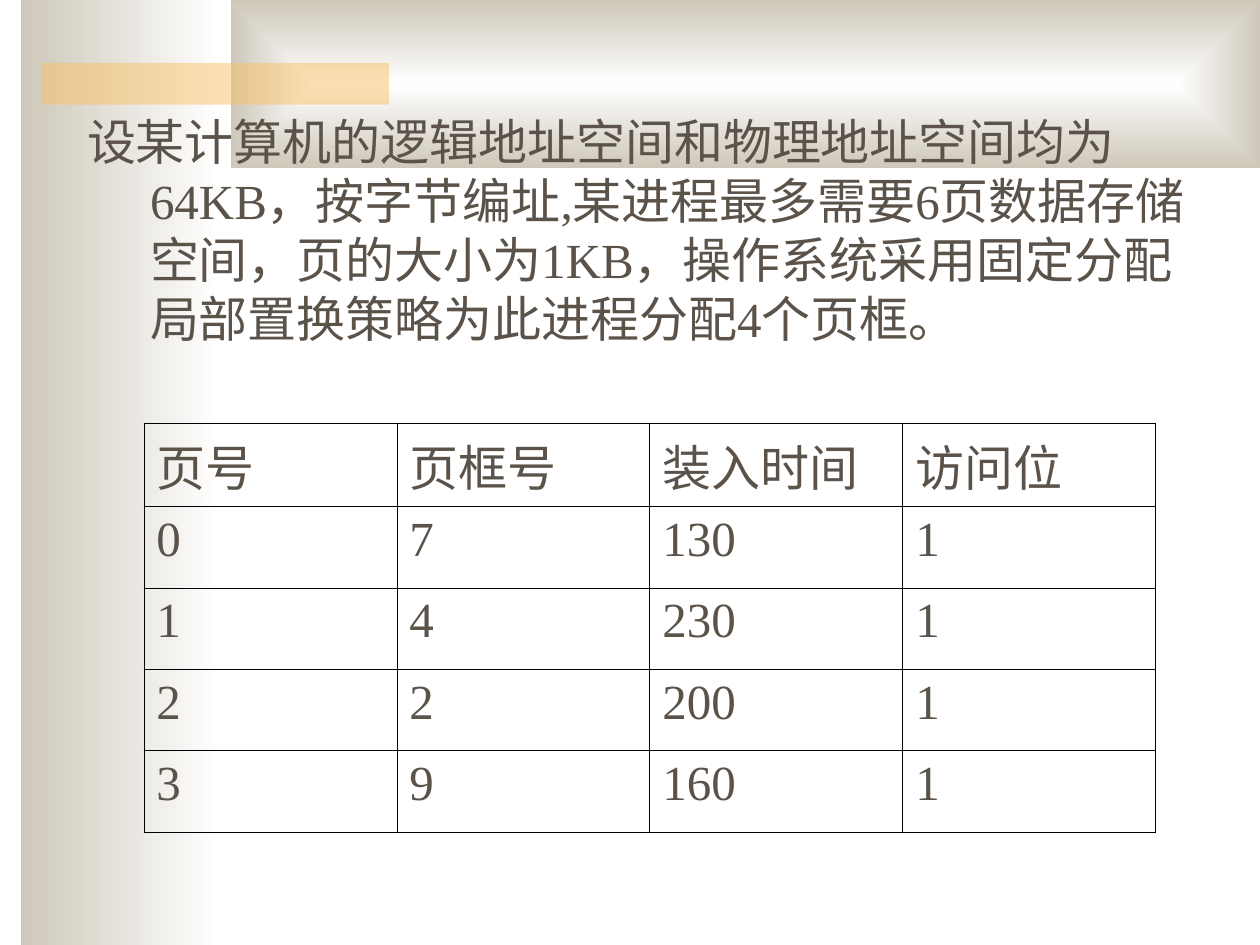
"""Build a slide with a paging problem and its page table."""
from dataclasses import dataclass

from lxml import etree
from pptx import Presentation
from pptx.dml.color import RGBColor
from pptx.enum import shapes, text
from pptx.oxml import ns, parse_xml
from pptx.util import Cm, Pt

FONT = "Times New Roman"
INK = "5B5249"
STONE = "CEC8BA"
QUESTION = (
    "设某计算机的逻辑地址空间和物理地址空间均为64KB，按字节编址,"
    "某进程最多需要6页数据存储空间，页的大小为1KB，"
    "操作系统采用固定分配局部置换策略为此进程分配4个页框。"
)
ROWS = [
    ("页号", "页框号", "装入时间", "访问位"),
    ("0", "7", "130", "1"),
    ("1", "4", "230", "1"),
    ("2", "2", "200", "1"),
    ("3", "9", "160", "1"),
]
LINEAR = '<a:lin ang="10800000" scaled="0"/>'
FRAME = '<a:path path="rect"><a:fillToRect l="50000" t="50000" r="50000" b="50000"/></a:path>'


@dataclass
class Band:
    left: float
    top: float
    width: float
    height: float
    fill: str


def tint(color: str, alpha: int = 100) -> str:
    return f'<a:srgbClr val="{color}"><a:alpha val="{alpha * 1000}"/></a:srgbClr>'


def solid(color: str, alpha: int = 100) -> str:
    return f'<a:solidFill {ns.nsdecls("a")}>{tint(color, alpha)}</a:solidFill>'


def fade(shade: str) -> str:
    return (
        f'<a:gradFill {ns.nsdecls("a")} rotWithShape="1"><a:gsLst>'
        f'<a:gs pos="0">{tint("FFFFFF")}</a:gs>'
        f'<a:gs pos="100000">{tint(STONE)}</a:gs></a:gsLst>{shade}</a:gradFill>'
    )


BANDS = [
    Band(0.42, 0, 4.02, 19.05, fade(LINEAR)),
    Band(4.66, 0, 20.74, 3.39, fade(FRAME)),
    Band(0.85, 1.27, 6.99, 0.84, solid("FAC164", 50)),
]


def draw_band(slide, band: Band) -> None:
    box = slide.shapes.add_shape(
        shapes.MSO_SHAPE.RECTANGLE,
        Cm(band.left), Cm(band.top), Cm(band.width), Cm(band.height),
    )
    box.shadow.inherit = False
    box.line.fill.background()
    props = box._element.spPr
    props.insert(2, parse_xml(band.fill))


def write(para, words: str) -> None:
    run = para.add_run()
    run.text = words
    run.font.name = FONT
    run.font.size = Pt(28)
    run.font.color.rgb = RGBColor.from_string(INK)


def draw_body(slide) -> None:
    body = slide.placeholders[1]
    body.left, body.top, body.width, body.height = Cm(1.5), Cm(2.13), Cm(23.01), Cm(6)
    slide.shapes._spTree.append(body._element)
    frame = body.text_frame
    frame.word_wrap = True
    frame.auto_size = text.MSO_AUTO_SIZE.NONE
    para = frame.paragraphs[0]
    para.space_before = Pt(7)
    props = para._p.get_or_add_pPr()
    props.set("marL", str(Cm(1.27)))
    props.set("indent", str(-Cm(1.27)))
    etree.SubElement(props, ns.qn("a:buNone"))
    write(para, QUESTION)


def draw_edges(cell) -> None:
    props = cell._tc.get_or_add_tcPr()
    for side in "LRTB":
        line = etree.SubElement(props, ns.qn(f"a:ln{side}"), w=str(Pt(0.34)))
        line.append(parse_xml(solid("000000")))


def draw_table(slide) -> None:
    table = slide.shapes.add_table(
        len(ROWS), len(ROWS[0]), Cm(2.9), Cm(8.53), Cm(20.4), Cm(8.2)
    ).table
    table.first_row = table.horz_banding = False
    for r, row in enumerate(ROWS):
        for c, words in enumerate(row):
            cell = table.cell(r, c)
            draw_edges(cell)
            cell.fill.background()
            write(cell.text_frame.paragraphs[0], words)


def main() -> None:
    deck = Presentation()
    deck.slide_width, deck.slide_height = Cm(25.4), Cm(19.05)
    slide = deck.slides.add_slide(deck.slide_layouts[1])
    title = slide.shapes.title._element
    title.getparent().remove(title)
    for band in BANDS:
        draw_band(slide, band)
    draw_body(slide)
    draw_table(slide)
    deck.save("out.pptx")


if __name__ == "__main__":
    main()
